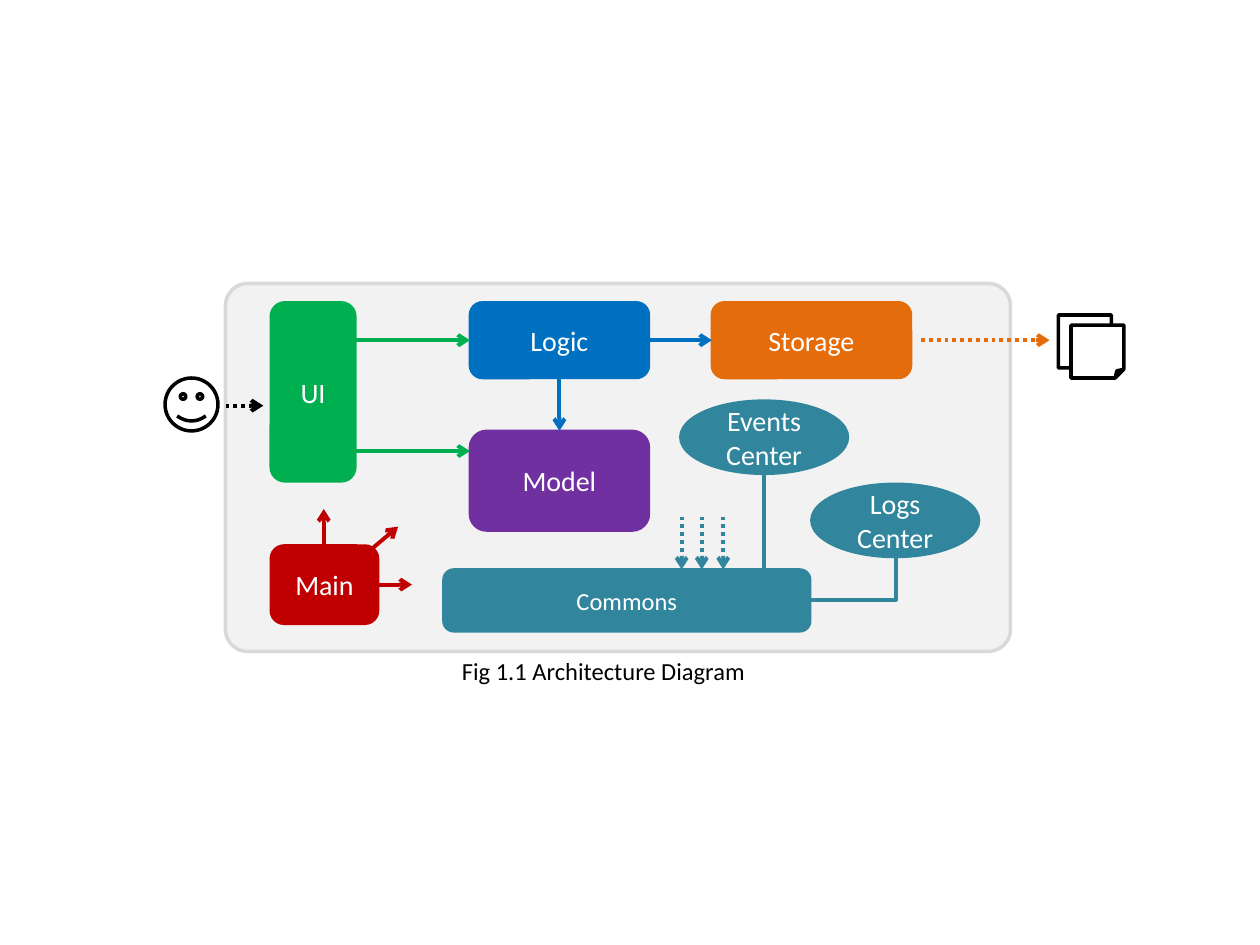
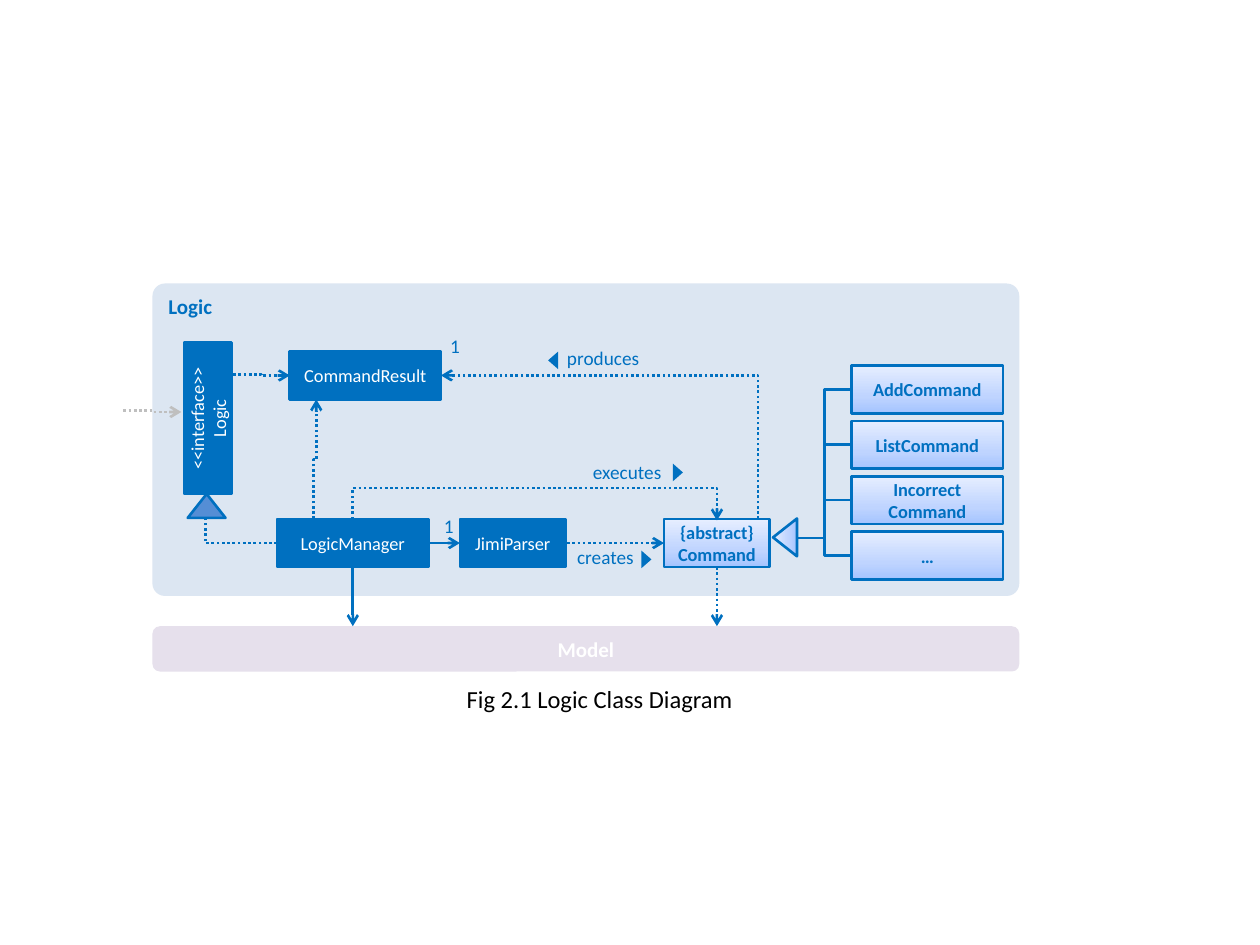
"""Two architecture diagrams: the main components and the Logic classes."""
from copy import deepcopy
from dataclasses import dataclass

from lxml import etree
from pptx import Presentation
from pptx.dml.color import RGBColor
from pptx.enum import dml, shapes, text
from pptx.oxml.ns import qn
from pptx.slide import Slide
from pptx.util import Inches, Pt

KIND = shapes.MSO_SHAPE
ALIGN = text.PP_ALIGN
ANCHOR = text.MSO_ANCHOR
Point = tuple[float, float]


@dataclass(frozen=True)
class Theme:
    """Colours, type sizes and line widths of both slides."""
    font: str = "Calibri"
    white: str = "FFFFFF"
    black: str = "000000"
    blue: str = "0070C0"
    green: str = "00B050"
    orange: str = "E46C0A"
    purple: str = "7030A0"
    teal: str = "31859C"
    red: str = "C00000"
    frame: str = "F2F2F2"
    frame_edge: str = "D9D9D9"
    logic_panel: str = "DCE6F2"
    model_panel: str = "E6E0EC"
    interface_tip: str = "558ED5"
    caller: str = "BFBFBF"
    pale_blue: tuple = ((0, "A4C4FF"), (0.35, "BFD4FF"), (1, "E6EEFF"))
    component: float = 16
    caption: float = 14
    panel_title: float = 12
    label: float = 11
    class_name: float = 10.5
    edge: float = 1.5
    outline: float = 2
    flow: float = 2.25


THEME = Theme()


@dataclass(frozen=True)
class Block:
    """A labelled shape filled and outlined in one colour."""
    name: str
    left: float
    top: float
    width: float
    height: float
    color: str
    kind: KIND = KIND.ROUNDED_RECTANGLE
    size: float = THEME.component


@dataclass(frozen=True)
class Link:
    """A connector; an elbow has a bend fraction, or corner=True for one turn."""
    start: Point
    end: Point
    color: str = THEME.blue
    width: float = THEME.edge
    dotted: bool = False
    arrow: bool = True
    bend: float | None = None
    corner: bool = False
    upright: bool = False


@dataclass(frozen=True)
class Relation:
    """A relation name with a triangle showing its reading direction."""
    name: str
    left: float
    top: float
    width: float
    tip_left: float
    tip_top: float
    tip_turn: float = 90
    align: ALIGN = ALIGN.RIGHT


def write(frame, words: str, *, size: float, color: str, bold: bool = False,
          align: ALIGN = ALIGN.CENTER, anchor: ANCHOR = ANCHOR.MIDDLE,
          inset: bool = True) -> None:
    """Fill a text frame; a newline starts a paragraph, \\v breaks a line."""
    frame.word_wrap = True
    frame.vertical_anchor = anchor
    if not inset:
        frame.margin_left = frame.margin_right = 0
        frame.margin_top = frame.margin_bottom = 0
    for index, content in enumerate(words.split("\n")):
        para = frame.add_paragraph() if index else frame.paragraphs[0]
        para.alignment = align
        for row, line in enumerate(content.split("\v")):
            if row:
                para.add_line_break()
            span = para.add_run()
            span.text = line
            span.font.name = THEME.font
            span.font.size = Pt(size)
            span.font.bold = bold
            span.font.color.rgb = RGBColor.from_string(color)


def paint_gradient(shape, stops: tuple) -> None:
    """Fill a shape with an upward gradient of three stops."""
    shape.fill.gradient()
    shape.fill.gradient_angle = 90
    stop_list = shape._element.spPr.find(".//" + qn("a:gsLst"))
    stop_list.insert(1, deepcopy(stop_list[0]))
    for stop, (position, color) in zip(shape.fill.gradient_stops, stops):
        stop.position = position
        stop.color.rgb = RGBColor.from_string(color)


def draw_shape(page: Slide, kind: KIND, left: float, top: float, width: float,
               height: float, *, fill: str | tuple, edge: str | None = None,
               edge_width: float = THEME.edge, turn: float = 0,
               rounding: float | None = None):
    """Add a flat preset shape and return it."""
    shape = page.shapes.add_shape(kind, Inches(left), Inches(top),
                                  Inches(width), Inches(height))
    shape.shadow.inherit = False
    shape.rotation = turn
    if rounding is not None:
        shape.adjustments[0] = rounding
    if isinstance(fill, tuple):
        paint_gradient(shape, fill)
    else:
        shape.fill.solid()
        shape.fill.fore_color.rgb = RGBColor.from_string(fill)
    if edge:
        shape.line.color.rgb = RGBColor.from_string(edge)
        shape.line.width = Pt(edge_width)
    else:
        shape.line.fill.background()
    return shape


def draw_block(page: Slide, block: Block) -> None:
    """Draw a solid block with its white name."""
    shape = draw_shape(page, block.kind, block.left, block.top, block.width,
                       block.height, fill=block.color, edge=block.color)
    write(shape.text_frame, block.name, size=block.size, color=THEME.white)


def draw_class(page: Slide, name: str, left: float, top: float,
               width: float = 1.2, *, command: bool = False,
               turn: float = 0) -> None:
    """Draw a class box; command classes are pale with bold blue names."""
    shape = draw_shape(page, KIND.RECTANGLE, left, top, width, 0.38, turn=turn,
                       fill=THEME.pale_blue if command else THEME.blue,
                       edge=THEME.blue)
    write(shape.text_frame, name, size=THEME.class_name, bold=command,
          color=THEME.blue if command else THEME.white)


def draw_link(page: Slide, link: Link) -> None:
    """Draw a straight line or an elbow, upright if it leaves vertically."""
    (x1, y1), (x2, y2) = link.start, link.end
    elbow = link.corner or link.bend is not None
    run, rise = x2 - x1, y2 - y1
    if link.upright:  # laid out flat, then turned a quarter clockwise
        run, rise = rise, -run
    mid_x, mid_y = (x1 + x2) / 2, (y1 + y2) / 2
    connector = page.shapes.add_connector(
        shapes.MSO_CONNECTOR.ELBOW if elbow else shapes.MSO_CONNECTOR.STRAIGHT,
        Inches(mid_x - run / 2), Inches(mid_y - rise / 2),
        Inches(mid_x + run / 2), Inches(mid_y + rise / 2))
    properties = connector._element.spPr
    if link.upright:
        properties.find(qn("a:xfrm")).set("rot", str(90 * 60000))
    geometry = properties.find(qn("a:prstGeom"))
    if link.corner:
        geometry.set("prst", "bentConnector2")
    elif elbow:
        guides = geometry.find(qn("a:avLst"))
        if guides is None:
            guides = etree.SubElement(geometry, qn("a:avLst"))
        etree.SubElement(guides, qn("a:gd"), name="adj1",
                         fmla=f"val {round(link.bend * 100000)}")
    connector.line.color.rgb = RGBColor.from_string(link.color)
    connector.line.width = Pt(link.width)
    if link.dotted:
        connector.line.dash_style = dml.MSO_LINE.ROUND_DOT
    if link.arrow:
        etree.SubElement(properties.find(qn("a:ln")), qn("a:tailEnd"),
                         type="arrow")
    etree.SubElement(properties, qn("a:effectLst"))


def draw_text(page: Slide, words: str, left: float, top: float, width: float,
              height: float = 0.25, *, size: float = THEME.label,
              color: str = THEME.blue, align: ALIGN = ALIGN.RIGHT) -> None:
    """Add a text box without insets."""
    box = page.shapes.add_textbox(Inches(left), Inches(top),
                                  Inches(width), Inches(height))
    write(box.text_frame, words, size=size, color=color, align=align,
          anchor=ANCHOR.TOP, inset=False)


def draw_caption(page: Slide, words: str, left: float, top: float) -> None:
    """Add the figure caption."""
    draw_text(page, words, left, top, 5.44, 0.24, size=THEME.caption,
              color=THEME.black, align=ALIGN.CENTER)


def draw_relation(page: Slide, relation: Relation) -> None:
    """Draw a relation name and its direction triangle."""
    draw_text(page, relation.name, relation.left, relation.top, relation.width,
              align=relation.align)
    draw_shape(page, KIND.ISOSCELES_TRIANGLE, relation.tip_left,
               relation.tip_top, 0.14, 0.08, fill=THEME.blue,
               turn=relation.tip_turn)


def build_architecture(page: Slide) -> None:
    """Draw the component overview."""
    t = THEME
    draw_shape(page, KIND.ROUNDED_RECTANGLE, 1.79, 2.25, 6.23, 2.92,
               fill=t.frame, edge=t.frame_edge, edge_width=t.outline,
               rounding=0.06)
    for block in (
            Block("UI", 2.15, 2.4, 0.67, 1.42, t.green),
            Block("Logic", 3.73, 2.4, 1.42, 0.6, t.blue),
            Block("Storage", 5.65, 2.4, 1.58, 0.6, t.orange),
            Block("Model", 3.73, 3.42, 1.42, 0.79, t.purple),
            Block("Commons", 3.52, 4.52, 2.91, 0.49, t.teal, size=t.caption),
            Block("Main", 2.15, 4.33, 0.85, 0.62, t.red),
            Block("Events Center", 5.4, 3.18, 1.33, 0.58, t.teal, KIND.OVAL),
            Block("Logs\vCenter", 6.44, 3.84, 1.33, 0.58, t.teal, KIND.OVAL)):
        draw_block(page, block)
    for kind, left, top in ((KIND.SMILEY_FACE, 1.31, 3),
                            (KIND.FOLDED_CORNER, 8.4, 2.5),
                            (KIND.FOLDED_CORNER, 8.5, 2.58)):
        draw_shape(page, kind, left, top, 0.42, 0.42, fill=t.white,
                   edge=t.black, edge_width=t.outline)
    for start, end, color in (
            ((2.81, 2.7), (3.73, 2.7), t.green),
            ((2.81, 3.58), (3.73, 3.58), t.green),
            ((4.44, 3), (4.44, 3.42), t.blue),
            ((5.15, 2.7), (5.65, 2.7), t.blue),
            ((3, 4.64), (3.27, 4.64), t.red),
            ((2.84, 4.45), (3.16, 4.18), t.red),
            ((2.57, 4.37), (2.57, 4.04), t.red)):
        draw_link(page, Link(start, end, color, t.flow))
    for start, end, color in (
            ((1.79, 3.22), (2.09, 3.22), t.black),
            ((7.31, 2.7), (8.33, 2.7), t.orange),
            *(((x, 4.1), (x, 4.52), t.teal) for x in (5.41, 5.57, 5.74))):
        draw_link(page, Link(start, end, color, t.flow, dotted=True))
    draw_link(page, Link((6.06, 3.77), (6.06, 4.53), t.teal, t.flow,
                         arrow=False))
    draw_link(page, Link((7.11, 4.43), (6.43, 4.76), t.teal, t.flow,
                         arrow=False, corner=True, upright=True))
    draw_caption(page, "Fig 1.1 Architecture Diagram", 2.07, 5.21)


def build_logic(page: Slide) -> None:
    """Draw the class diagram of the Logic component."""
    t = THEME
    panel = draw_shape(page, KIND.ROUNDED_RECTANGLE, 1.21, 2.25, 6.88, 2.48,
                       fill=t.logic_panel, rounding=0.04)
    write(panel.text_frame, "Logic", size=t.panel_title, color=t.blue,
          bold=True, align=ALIGN.LEFT, anchor=ANCHOR.TOP)
    model = draw_shape(page, KIND.ROUNDED_RECTANGLE, 1.21, 4.97, 6.88, 0.36,
                       fill=t.model_panel)
    write(model.text_frame, "Model", size=t.panel_title, color=t.white,
          bold=True)
    draw_link(page, Link((6.01, 4.28), (3.5, 2.98), dotted=True, bend=-0.003))

    draw_class(page, "CommandResult", 2.3, 2.79)
    draw_class(page, "LogicManager", 2.2, 4.12)
    draw_class(page, "JimiParser", 3.65, 4.12, 0.84)
    draw_class(page, "<<interface>>\nLogic", 1.05, 3.13, turn=270)
    draw_class(page, "{abstract}\vCommand", 5.27, 4.12, 0.84, command=True)
    draw_shape(page, KIND.ISOSCELES_TRIANGLE, 6.08, 4.17, 0.3, 0.19,
               fill=t.pale_blue, edge=t.blue, turn=270)
    draw_shape(page, KIND.ISOSCELES_TRIANGLE, 1.49, 3.92, 0.3, 0.19,
               fill=t.interface_tip, edge=t.blue)
    for index, name in enumerate(("AddCommand", "ListCommand",
                                  "Incorrect\vCommand", "…")):
        top = 2.9 + 0.44 * index
        draw_class(page, name, 6.76, top, command=True)
        draw_link(page, Link((6.33, 4.27), (6.76, top + 0.19), arrow=False,
                             bend=0.5))

    for link in (
            Link((3.4, 4.31), (3.65, 4.31)),
            Link((2.8, 4.5), (2.8, 4.97)),
            Link((5.69, 4.5), (5.69, 4.97), dotted=True),
            Link((4.5, 4.31), (5.27, 4.31), dotted=True),
            Link((1.85, 2.97), (2.3, 2.98), dotted=True, bend=0.5),
            Link((0.98, 3.26), (1.44, 3.27), t.caller, dotted=True, bend=0.5),
            Link((2.2, 4.31), (1.63, 4.11), dotted=True, arrow=False,
                 corner=True),
            Link((2.8, 4.12), (5.69, 4.13), dotted=True, bend=-25,
                 upright=True),
            Link((2.49, 4.12), (2.51, 3.17), dotted=True, bend=0.5,
                 upright=True)):
        draw_link(page, link)
    for relation in (
            Relation("executes", 4.45, 3.65, 0.8, 5.31, 3.71),
            Relation("produces", 4.5, 2.75, 0.8, 4.32, 2.82, 270, ALIGN.LEFT),
            Relation("creates", 4.42, 4.33, 0.61, 5.06, 4.4)):
        draw_relation(page, relation)
    for left, top in ((3.51, 2.65), (3.46, 4.08)):
        draw_text(page, "1", left, top, 0.14)
    draw_caption(page, "Fig 2.1 Logic Class Diagram", 2.04, 5.43)


deck = Presentation()
deck.slide_width, deck.slide_height = Inches(10), Inches(7.5)
for build in (build_architecture, build_logic):
    build(deck.slides.add_slide(deck.slide_layouts[6]))
deck.save("out.pptx")
